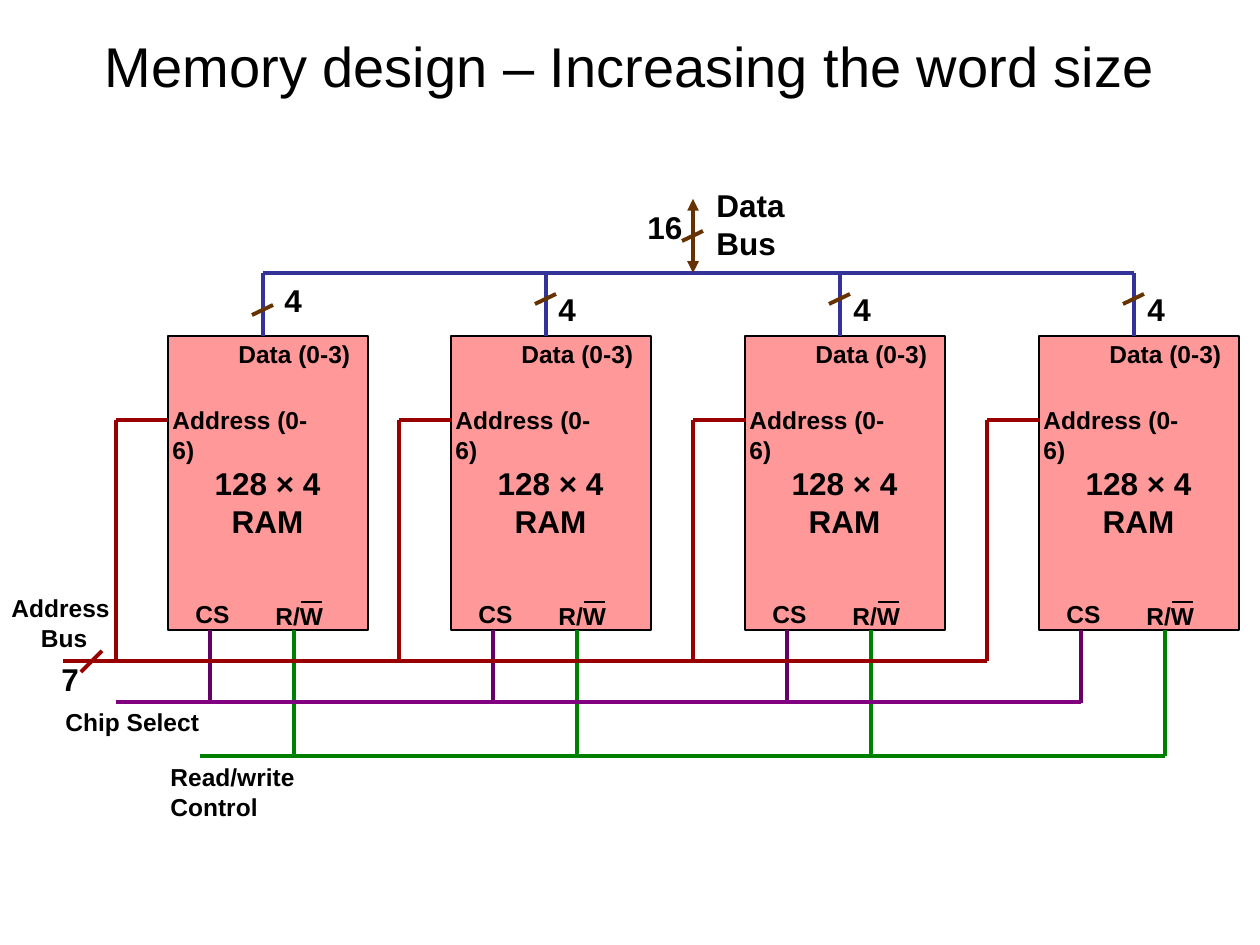
from lxml import etree
from pptx import Presentation
from pptx.dml.color import RGBColor
from pptx.enum.shapes import MSO_CONNECTOR, MSO_SHAPE
from pptx.enum.text import MSO_ANCHOR, PP_ALIGN
from pptx.oxml.ns import qn
from pptx.util import Pt

LEFT, CENTER = PP_ALIGN.LEFT, PP_ALIGN.CENTER
TOP, MIDDLE = MSO_ANCHOR.TOP, MSO_ANCHOR.MIDDLE
STRAIGHT, RECT = MSO_CONNECTOR.STRAIGHT, MSO_SHAPE.RECTANGLE
PX = 914400 / 126
FONT = "Arial"
BLACK, PINK, BLUE, BROWN = "000000", "FF9999", "333399", "663300"
RED, GREEN, PURPLE, DARK_PURPLE = "990000", "008000", "800080", "660066"

# Content: (text, left, top, width, height, size, alignment)
TITLE = "Memory design – Increasing the word size"
BUS_LABELS = [
    ("Data Bus", 704, 180, 161, 50, 18, LEFT),
    ("16", 635, 202, 60, 50, 18, LEFT),
    ("Chip Select", 53, 701, 159, 43, 14, LEFT),
    ("Read/write Control", 158, 756, 243, 43, 14, LEFT),
    ("Address \nBus", -1, 587, 130, 72, 14, CENTER),
    ("7", 49, 654, 43, 50, 18, LEFT),
]
# Chip labels: left is measured from the chip edge
CHIP_LABELS = [
    ("128 × 4\nRAM", 34, 458, 131, 86, 18, CENTER),
    ("CS", 15, 593, 59, 43, 14, LEFT),
    ("Data (0-3)", 58, 333, 137, 43, 14, LEFT),
    ("R/W", 95, 595, 73, 43, 14, LEFT),
    ("Address (0-6)", -8, 399, 181, 43, 14, LEFT),
]

# Chips: (left edge, top of the slash, left and top of the "4")
CHIPS = [
    (168, 305, 272, 275),
    (451, 294, 546, 284),
    (745, 294, 841, 284),
    (1039, 294, 1135, 284),
]
CHIP_TOP, CHIP_W, CHIP_H = 336, 200, 294
CHIP_BOTTOM = CHIP_TOP + CHIP_H

# Horizontal levels of the buses, and pin offsets from the chip edge
DATA_Y, PIN_Y, ADDRESS_Y, SELECT_Y, CONTROL_Y = 273, 420, 661, 702, 756
DATA_DX, ADDRESS_DX, SELECT_DX, CONTROL_DX = 95, -52, 42, 126
FIRST, LAST = CHIPS[0][0], CHIPS[-1][0]
BUSES = [
    (FIRST + DATA_DX, LAST + DATA_DX, DATA_Y, BLUE),
    (116, LAST + SELECT_DX, SELECT_Y, PURPLE),
    (200, LAST + CONTROL_DX, CONTROL_Y, GREEN),
    (63, LAST + ADDRESS_DX, ADDRESS_Y, RED),
]


def emu(*values):
    return [round(v * PX) for v in values]


def rgb(color):
    return RGBColor.from_string(color)


def add_text(s, text, x, y, w, h, size, align, bold=True, anchor=TOP, wrap=False):
    tf = s.shapes.add_textbox(*emu(x, y, w, h)).text_frame
    tf.word_wrap = wrap
    tf.vertical_anchor = anchor
    for i, line in enumerate(text.split("\n")):
        p = tf.add_paragraph() if i else tf.paragraphs[0]
        p.alignment = align
        r = p.add_run()
        r.text = line
        r.font.name, r.font.size, r.font.bold = FONT, Pt(size), bold
        r.font.color.rgb = rgb(BLACK)


def add_line(s, x1, y1, x2, y2, color, width=2.25, arrows=False):
    line = s.shapes.add_connector(STRAIGHT, *emu(x1, y1, x2, y2))
    line.line.color.rgb = rgb(color)
    line.line.width = Pt(width)
    if arrows:
        ln = line.line._get_or_add_ln()
        for tag in ("a:headEnd", "a:tailEnd"):
            etree.SubElement(ln, qn(tag), type="triangle")
    etree.SubElement(line._element.spPr, qn("a:effectLst"))


def add_chip(s, x, slash_y, four_x, four_y):
    sp = s.shapes.add_shape(RECT, *emu(x, CHIP_TOP, CHIP_W, CHIP_H))
    sp.shadow.inherit = False
    sp.fill.solid()
    sp.fill.fore_color.rgb = rgb(PINK)
    sp.line.color.rgb = rgb(BLACK)
    sp.line.width = Pt(0.75)
    # Pins
    data_x, address_x = x + DATA_DX, x + ADDRESS_DX
    select_x, control_x = x + SELECT_DX, x + CONTROL_DX
    add_line(s, data_x, DATA_Y, data_x, CHIP_TOP, BLUE)
    add_line(s, control_x, CHIP_BOTTOM, control_x, CONTROL_Y, GREEN)
    add_line(s, select_x, CHIP_BOTTOM, select_x, SELECT_Y + 1, DARK_PURPLE)
    add_line(s, address_x, PIN_Y, x, PIN_Y, RED)
    # Labels, with the bar over W
    for text, dx, *rest in CHIP_LABELS:
        add_text(s, text, x + dx, *rest)
    add_line(s, x + 133, 602, x + 154, 602, BLACK, width=0.75)
    # Address drop and data width
    add_line(s, address_x, PIN_Y, address_x, ADDRESS_Y, RED)
    add_line(s, data_x + 10, slash_y, data_x - 11, slash_y + 10, BROWN)
    add_text(s, "4", four_x, four_y, 43, 50, 18, LEFT)


def main():
    prs = Presentation()
    prs.slide_width, prs.slide_height = emu(1260, 945)
    s = prs.slides.add_slide(prs.slide_layouts[6])
    add_text(s, TITLE, 63, 21, 1134, 88, 32, CENTER,
             bold=False, anchor=MIDDLE, wrap=True)

    for chip in CHIPS:
        add_chip(s, *chip)

    # Shared buses
    for x1, x2, y, color in BUSES:
        add_line(s, x1, y, x2, y, color)
    add_line(s, 693, DATA_Y, 693, 199, BROWN, arrows=True)
    add_line(s, 703, 231, 682, 241, BROWN)
    add_line(s, 102, 651, 81, 672, RED)
    for label in BUS_LABELS:
        add_text(s, *label)

    prs.save("out.pptx")


if __name__ == "__main__":
    main()
